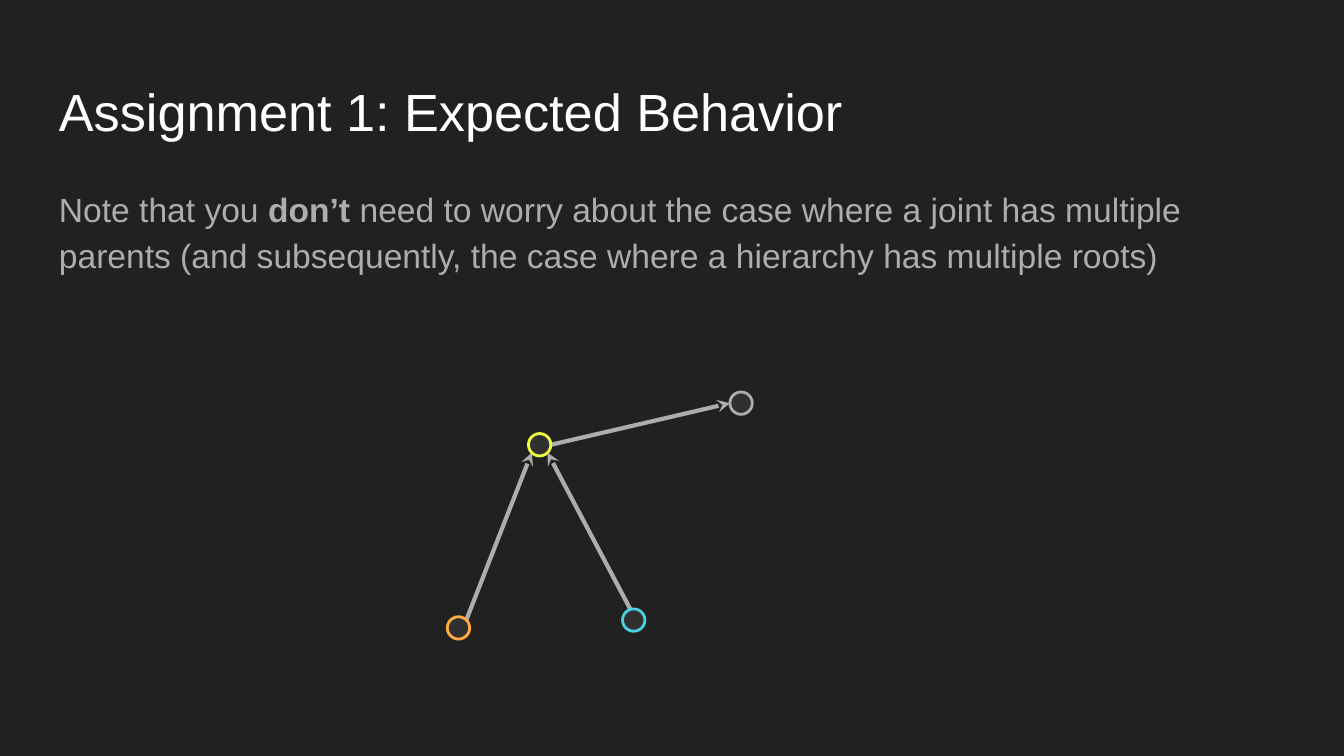
from math import cos, radians, sin

from lxml import etree
from pptx import Presentation
from pptx.dml.color import RGBColor
from pptx.enum import shapes, text
from pptx.oxml import ns
from pptx.util import Pt

WIDE, HIGH = 720, 405
BACK, GREY, WHITE, DARK = "212121", "ADADAD", "FFFFFF", "303030"
SIZE = 12

TITLE = [("Assignment 1: Expected Behavior", False)]
BODY = [
    ("Note that you ", False),
    ("don’t", True),
    (" need to worry about the case where a joint has multiple parents "
     "(and subsequently, the case where a hierarchy has multiple roots)", False),
]
JOINTS = {
    "child": (289.1, 238.3, "EEFF41"),
    "leaf": (397, 216, GREY),
    "left": (245.6, 336.4, "FFAB40"),
    "right": (339.5, 332.2, "4DD0E1"),
}
BONES = [
    ("child", 0, "leaf", 180),
    ("left", 45, "child", 225),
    ("right", 107, "child", 315),
]


def color(code):
    return RGBColor.from_string(code)


def add_text(slide, runs, top, high, size, code):
    box = slide.shapes.add_textbox(Pt(24.5), Pt(top), Pt(671), Pt(high))
    frame = box.text_frame
    frame.word_wrap = True
    frame.vertical_anchor = text.MSO_ANCHOR.TOP
    frame.margin_left = frame.margin_right = Pt(7.2)
    frame.margin_top = frame.margin_bottom = Pt(7.2)
    para = frame.paragraphs[0]
    para.font.size = Pt(size)
    para.font.name = "Arial"
    para.font.color.rgb = color(code)
    for words, bold in runs:
        run = para.add_run()
        run.text = words
        if bold:
            run.font.bold = True
    return para


def rim(name, angle):
    x, y, _ = JOINTS[name]
    turn = radians(angle)
    return Pt(x + SIZE / 2 * cos(turn)), Pt(y - SIZE / 2 * sin(turn))


def add_bone(slide, start, out, end, into):
    bone = slide.shapes.add_connector(
        shapes.MSO_CONNECTOR.STRAIGHT, *rim(start, out), *rim(end, into))
    bone.line.color.rgb = color(GREY)
    bone.line.width = Pt(2.25)
    tip = etree.SubElement(bone.line._get_or_add_ln(), ns.qn("a:tailEnd"))
    tip.set("type", "stealth")
    etree.SubElement(bone._element.spPr, ns.qn("a:effectLst"))


def add_joint(slide, x, y, code):
    joint = slide.shapes.add_shape(
        shapes.MSO_SHAPE.OVAL, Pt(x - SIZE / 2), Pt(y - SIZE / 2), Pt(SIZE), Pt(SIZE))
    joint.shadow.inherit = False
    joint.fill.solid()
    joint.fill.fore_color.rgb = color(DARK)
    joint.line.color.rgb = color(code)
    joint.line.width = Pt(1.5)


def main():
    deck = Presentation()
    deck.slide_width, deck.slide_height = Pt(WIDE), Pt(HIGH)
    slide = deck.slides.add_slide(deck.slide_layouts[6])
    slide.background.fill.solid()
    slide.background.fill.fore_color.rgb = color(BACK)
    add_text(slide, TITLE, 35.3, 45, 28, WHITE)
    para = add_text(slide, BODY, 90.7, 119.5, 18, GREY)
    para.line_spacing = 1.15
    para.space_after = Pt(16)
    for bone in BONES:
        add_bone(slide, *bone)
    for joint in JOINTS.values():
        add_joint(slide, *joint)
    deck.save("out.pptx")


if __name__ == "__main__":
    main()
